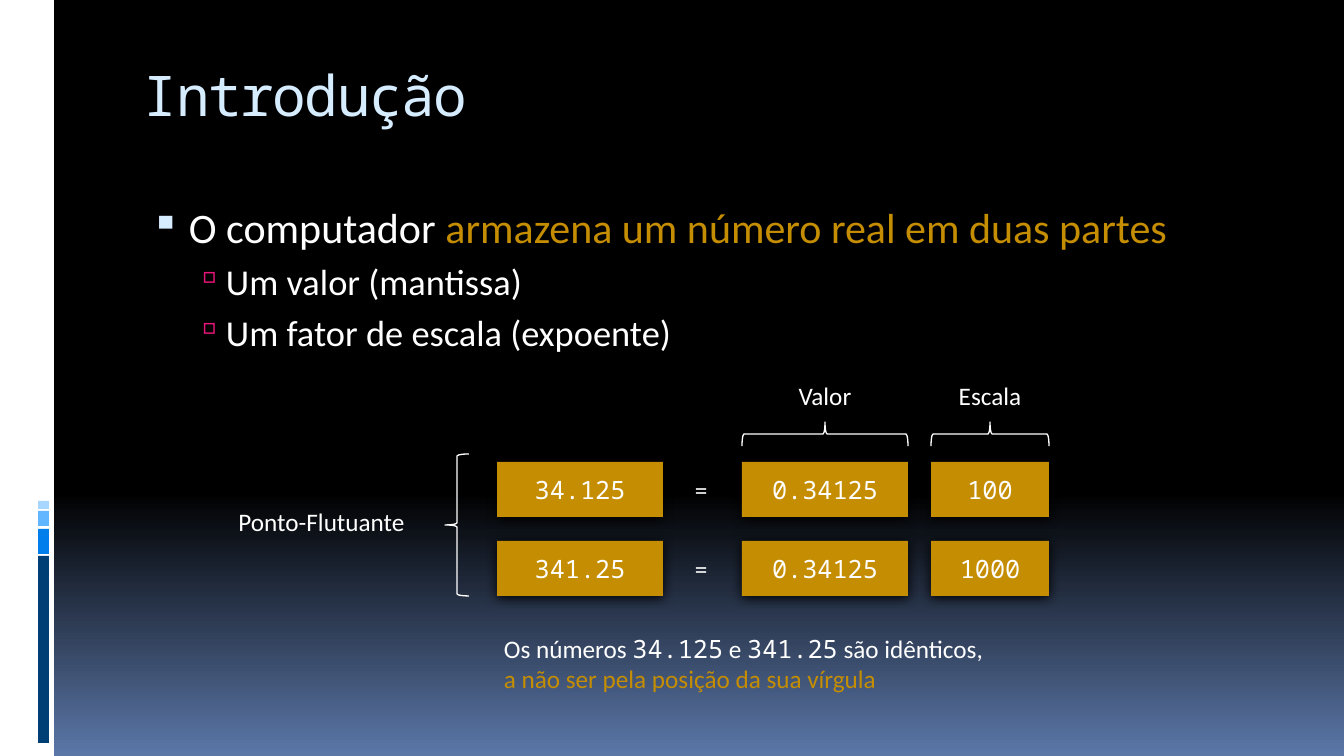
from copy import deepcopy
from dataclasses import dataclass

from lxml import etree
from pptx import Presentation
from pptx.dml.color import RGBColor
from pptx.enum.shapes import MSO_SHAPE as Shape
from pptx.enum.text import MSO_ANCHOR as Anchor, PP_ALIGN as Align
from pptx.oxml.ns import qn
from pptx.util import Emu, Pt

PX = 914400 / 100.8


@dataclass(frozen=True)
class Theme:
    white: str = "FFFFFF"
    gold: str = "C58D01"
    pale: str = "D6ECFF"
    pink: str = "EA157A"
    shadow: str = "000000"
    backdrop: tuple = ((0, "000000"), (0.65, "000000"), (1, "5B77A8"))
    sans: str = "Calibri"
    mono: str = "Noto Sans Mono"
    title: int = 40
    body: int = 30
    detail: int = 26
    label: int = 18
    hairline: float = 0.94


@dataclass(frozen=True)
class Box:
    x: int
    y: int
    w: int
    h: int

    def inner(self, x, y, w, h):
        """Give a box placed relative to this one's corner."""
        return Box(self.x + x, self.y + y, w, h)

    def emu(self):
        return [px(n) for n in (self.x, self.y, self.w, self.h)]


THEME = Theme()


def px(length):
    return Emu(round(length * PX))


def rgb(colour):
    return RGBColor.from_string(colour)


def add_element(parent, tag, **attributes):
    return etree.SubElement(parent, qn(tag), {k: str(v) for k, v in attributes.items()})


def add_bullet(para, char, colour, size, margin, hang):
    props = para._p.get_or_add_pPr()
    props.set("marL", str(px(margin)))
    props.set("indent", str(-px(hang)))
    add_element(add_element(props, "a:buClr"), "a:srgbClr", val=colour)
    add_element(props, "a:buSzPct", val=size * 1000)
    add_element(props, "a:buChar", char=char)


def add_run(para, text, size=THEME.label, font=THEME.sans, colour=THEME.white, spacing=0):
    span = para.add_run()
    span.text = text
    span.font.size = Pt(size)
    span.font.name = font
    span.font.color.rgb = rgb(colour)
    if spacing:
        span._r.get_or_add_rPr().set("spc", str(spacing * 100))


def add_text_box(page, box, anchor=Anchor.TOP, wrap=True):
    frame = page.shapes.add_textbox(*box.emu()).text_frame
    frame.word_wrap = wrap
    frame.vertical_anchor = anchor
    return frame


def add_label(page, box, text):
    para = add_text_box(page, box, Anchor.MIDDLE, wrap=False).paragraphs[0]
    para.alignment = Align.CENTER
    add_run(para, text)


def add_block(page, box, colour):
    block = page.shapes.add_shape(Shape.RECTANGLE, *box.emu())
    block.shadow.inherit = False
    block.fill.solid()
    block.fill.fore_color.rgb = rgb(colour)
    block.line.fill.background()
    return block


def add_number(page, box, text):
    block = add_block(page, box, THEME.gold)
    effects = block._element.spPr.find(qn("a:effectLst"))
    shadow = add_element(effects, "a:outerShdw", blurRad=Pt(8.5), dist=Pt(1),
                         dir=90 * 60000, rotWithShape=0)
    add_element(shadow, "a:srgbClr", val=THEME.shadow)
    frame = block.text_frame
    frame.vertical_anchor = Anchor.MIDDLE
    para = frame.paragraphs[0]
    para.alignment = Align.CENTER
    add_run(para, text, font=THEME.mono)


def add_brace(page, box, upright=True):
    """Draw a brace pointing left, or up when it is not upright."""
    if not upright:
        shift = (box.w - box.h) // 2
        box = box.inner(shift, -shift, box.h, box.w)
    brace = page.shapes.add_shape(Shape.LEFT_BRACE, *box.emu())
    brace.rotation = 0 if upright else 90
    brace.shadow.inherit = False
    brace.fill.background()
    brace.line.color.rgb = rgb(THEME.white)
    brace.line.width = Pt(THEME.hairline)


def paint_background(page):
    fill = page.background.fill
    fill.gradient()
    fill.gradient_angle = 270
    stop_list = page._element.find(".//" + qn("a:gsLst"))
    stop_list.append(deepcopy(stop_list[-1]))
    for stop, (position, colour) in zip(fill.gradient_stops, THEME.backdrop):
        stop.position = position
        stop.color.rgb = rgb(colour)


def draw_side_stripe(page, box):
    add_block(page, box, THEME.white)
    bars = ((501, 8, "A7D6FF"), (511, 15, "61B6FF"), (529, 25, "007EEB"), (556, 187, "003F75"))
    for top, height, colour in bars:
        add_block(page, box.inner(38, top, 11, height), colour)


def draw_title(page, box, text):
    para = add_text_box(page, box).paragraphs[0]
    add_run(para, text, size=THEME.title, font=THEME.mono, colour=THEME.pale, spacing=-1)


def draw_body(page, box):
    frame = add_text_box(page, box)
    para = frame.paragraphs[0]
    add_bullet(para, "▪", THEME.pale, 95, 45, 38)
    add_run(para, "O computador ", size=THEME.body)
    add_run(para, "armazena um número real em duas partes", size=THEME.body, colour=THEME.gold)
    for text in ("Um valor (mantissa)", "Um fator de escala (expoente)"):
        para = frame.add_paragraph()
        para.level = 1
        add_bullet(para, "▫", THEME.pink, 90, 82, 31)
        para.space_before = Pt(THEME.detail * 0.2)
        add_run(para, text, size=THEME.detail)


def draw_diagram(page, box):
    """Show each number as a value times a scale, under braces that name the factors."""
    columns = ((272, 166, ""), (517, 166, "Valor"), (706, 118, "Escala"))
    rows = (("34.125", "0.34125", "100"), ("341.25", "0.34125", "1000"))
    first_row, row_pitch, row_height = 87, 79, 55

    for left, width, name in columns:
        if name:
            add_label(page, box.inner(left, 0, width, 40), name)
            add_brace(page, box.inner(left, 47, width, 24), upright=False)
    for index, numbers in enumerate(rows):
        top = first_row + index * row_pitch
        for (left, width, _), number in zip(columns, numbers):
            add_number(page, box.inner(left, top, width, row_height), number)
        add_label(page, box.inner(459, top, 34, row_height), "=")
    add_label(page, box.inner(0, 126, 193, 40), "Ponto-Flutuante")
    add_brace(page, box.inner(220, 79, 24, 142))


def draw_conclusion(page, box):
    para = add_text_box(page, box).paragraphs[0]
    para.level = 1
    para._p.get_or_add_pPr().set("marL", str(px(50)))
    add_run(para, "Os números ")
    add_run(para, "34.125", font=THEME.mono)
    add_run(para, " e ")
    add_run(para, "341.25", font=THEME.mono)
    add_run(para, " são idênticos, ")
    add_run(para, "a não ser pela posição da sua vírgula", colour=THEME.gold)


def main():
    deck = Presentation()
    deck.slide_width, deck.slide_height = px(1344), px(756)
    page = deck.slides.add_slide(deck.slide_layouts[6])
    paint_background(page)
    draw_side_stripe(page, Box(0, 0, 54, 756))
    draw_title(page, Box(134, 56, 1142, 101), "Introdução")
    draw_body(page, Box(134, 197, 1142, 546))
    draw_diagram(page, Box(225, 375, 824, 221))
    draw_conclusion(page, Box(444, 628, 554, 72))
    deck.save("out.pptx")


if __name__ == "__main__":
    main()
